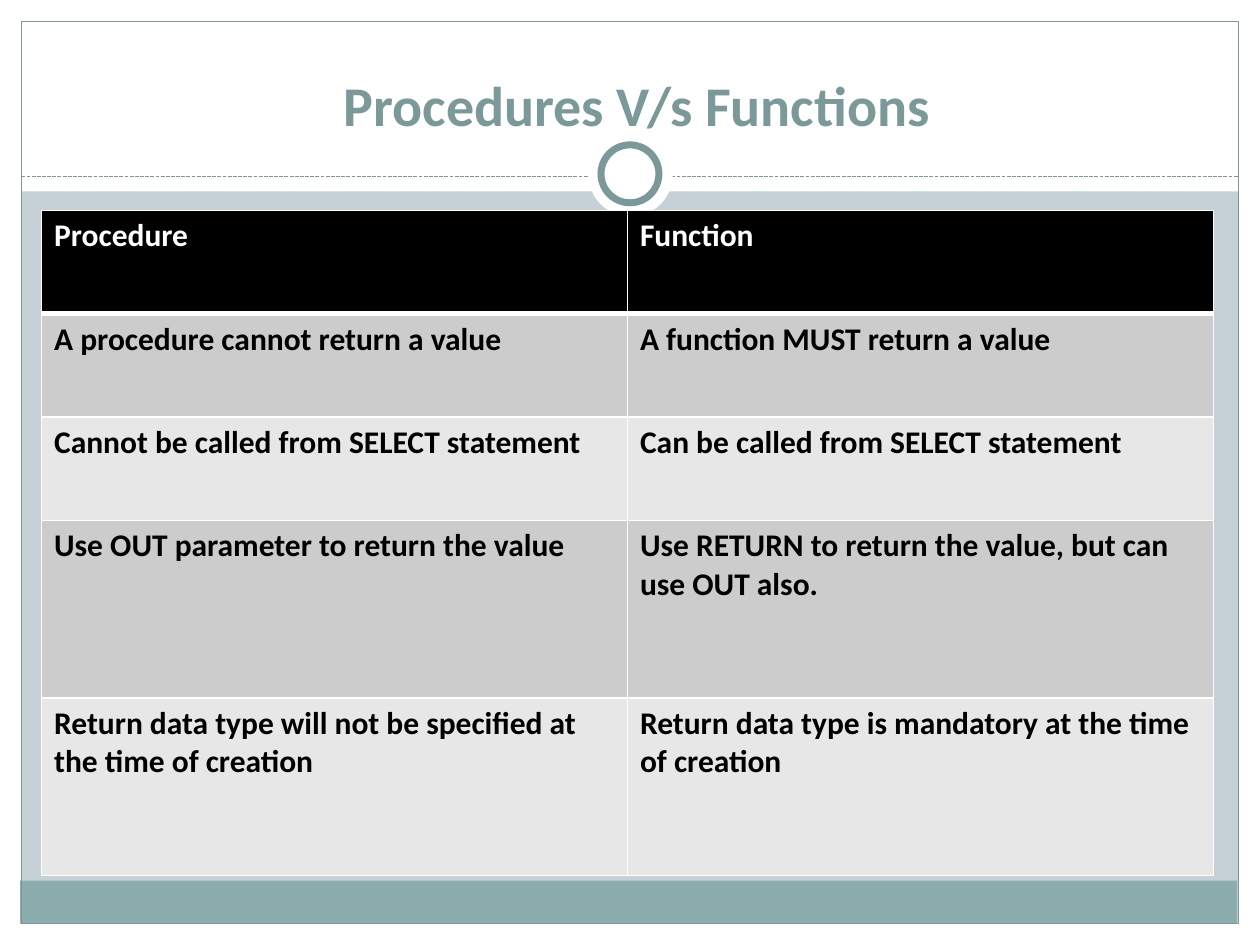
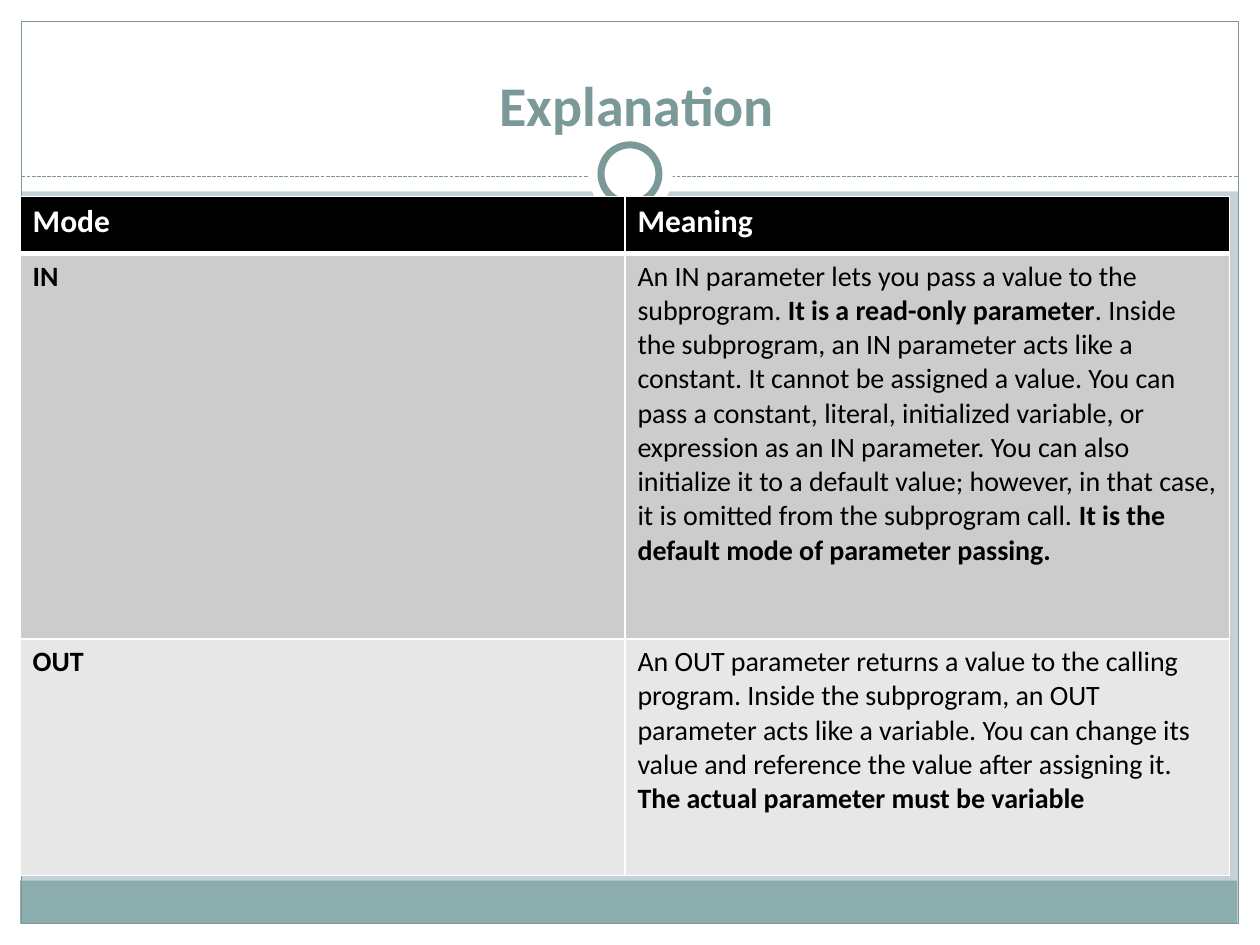
from dataclasses import dataclass

from lxml import etree
from pptx import Presentation
from pptx.dml.color import RGBColor
from pptx.enum import dml, shapes, text
from pptx.oxml import ns
from pptx.util import Inches, Pt

FONT = "Calibri"
WHITE = RGBColor(0xFF, 0xFF, 0xFF)
BLACK = RGBColor(0x00, 0x00, 0x00)
BACKDROP = RGBColor(0xC5, 0xD1, 0xD7)
FOOTER = RGBColor(0x8C, 0xAD, 0xAE)
ACCENT = RGBColor(0x7C, 0x99, 0x9A)
ROW_FILLS = (RGBColor(0xCC, 0xCC, 0xCC), RGBColor(0xE7, 0xE7, 0xE7))

THIN, THICK = 1, 3
RECT, OVAL = shapes.MSO_SHAPE.RECTANGLE, shapes.MSO_SHAPE.OVAL


@dataclass(frozen=True)
class FramePart:
    kind: shapes.MSO_SHAPE
    box: tuple[float, float, float, float]
    fill: RGBColor | None = WHITE
    line_width: float = 0


@dataclass(frozen=True)
class TableSlide:
    """Two-column table slide; the first row is the header, ** marks bold runs."""
    title: str
    left: float
    top: float
    col_width: float
    row_heights: tuple[float, ...]
    rows: tuple[tuple[str, str], ...]
    body_size: int


BANDS = (
    FramePart(RECT, (0, 7.33, 10, 0.17)),
    FramePart(RECT, (0, 0, 10, 1.52)),
    FramePart(RECT, (0, 0, 0.17, 7.5)),
    FramePart(RECT, (9.83, 0, 0.17, 7.5)),
    FramePart(RECT, (0.16, 6.99, 9.66, 0.34), FOOTER),
    FramePart(RECT, (0.17, 0.17, 9.66, 7.16), None, 0.75),
)
RINGS = (
    FramePart(OVAL, (4.67, 1.05, 0.67, 0.67)),
    FramePart(OVAL, (4.77, 1.15, 0.46, 0.46), WHITE, 4),
)

SLIDES = (
    TableSlide(
        "Procedures V/s Functions", 0.33, 1.67, 4.65, (0.82, 0.82, 0.82, 1.41, 1.41),
        (
            ("Procedure", "Function"),
            ("A procedure cannot return a value", "A function MUST return a value"),
            ("Cannot be called from SELECT statement",
             "Can be called from SELECT statement"),
            ("Use OUT parameter to return the value",
             "Use RETURN to return the value, but can use OUT also."),
            ("Return data type will not be specified at the time of creation",
             "Return data type is mandatory at the time of creation"),
        ),
        body_size=18,
    ),
    TableSlide(
        "Explanation", 0.16, 1.56, 4.8, (0.45, 3.06, 1.88),
        (
            ("Mode", "Meaning"),
            ("**IN**",
             "An IN parameter lets you pass a value to the subprogram. "
             "**It is a read-only parameter**. Inside the subprogram, an IN parameter "
             "acts like a constant. It cannot be assigned a value. You can pass a "
             "constant, literal, initialized variable, or expression as an IN parameter. "
             "You can also initialize it to a default value; however, in that case, it is "
             "omitted from the subprogram call. "
             "**It is the default mode of parameter passing.**"),
            ("**OUT**",
             "An OUT parameter returns a value to the calling program. Inside the "
             "subprogram, an OUT parameter acts like a variable. You can change its value "
             "and reference the value after assigning it. "
             "**The actual parameter must be variable**"),
        ),
        body_size=16,
    ),
)


def style_paragraph(p, size: int, color: RGBColor) -> None:
    p.font.name = FONT
    p.font.size = Pt(size)
    p.font.color.rgb = color


def add_part(slide, part: FramePart):
    sp = slide.shapes.add_shape(part.kind, *map(Inches, part.box))
    sp.shadow.inherit = False
    if part.fill is None:
        sp.fill.background()
    else:
        sp.fill.solid()
        sp.fill.fore_color.rgb = part.fill
    if part.line_width:
        sp.line.color.rgb = ACCENT
        sp.line.width = Pt(part.line_width)
    else:
        sp.line.fill.background()
    return sp


def add_divider(slide):
    line = slide.shapes.add_connector(
        shapes.MSO_CONNECTOR.STRAIGHT, Inches(0.17), Inches(1.4), Inches(9.83), Inches(1.4))
    line.line.color.rgb = ACCENT
    line.line.width = Pt(0.75)
    line.line.dash_style = dml.MSO_LINE.SQUARE_DOT
    etree.SubElement(line.element.spPr, ns.qn("a:effectLst"))
    return line


def move_frame_to_layout(slide, layout) -> None:
    """Draw the frame with the slide's shape tools, then hand it to the layout."""
    for ph in list(layout.placeholders):
        if ph.placeholder_format.type != shapes.PP_PLACEHOLDER.TITLE:
            ph.element.getparent().remove(ph.element)
    layout.background.fill.solid()
    layout.background.fill.fore_color.rgb = BACKDROP
    frame = [add_part(slide, part) for part in BANDS]
    frame.append(add_divider(slide))
    frame += [add_part(slide, part) for part in RINGS]
    for sp in frame:
        layout.shapes.element.append(sp.element)


def set_title(slide, title: str) -> None:
    sp = slide.shapes.title
    sp.left, sp.top, sp.width, sp.height = map(Inches, (0.39, 0.31, 9.33, 0.83))
    tf = sp.text_frame
    tf.text = title
    tf.vertical_anchor = text.MSO_ANCHOR.BOTTOM
    p = tf.paragraphs[0]
    p.alignment = text.PP_ALIGN.CENTER
    style_paragraph(p, 32, ACCENT)
    p.font.bold = True


def set_borders(cell, top: float, bottom: float) -> None:
    tc_pr = cell._tc.get_or_add_tcPr()
    for side, width in (("L", THIN), ("R", THIN), ("T", top), ("B", bottom)):
        ln = etree.SubElement(tc_pr, ns.qn(f"a:ln{side}"), w=str(Pt(width)))
        fill = etree.SubElement(ln, ns.qn("a:solidFill"))
        etree.SubElement(fill, ns.qn("a:srgbClr"), val=str(WHITE))


def fill_cell(cell, content: str, row: int, body_size: int) -> None:
    is_header = row == 0
    set_borders(cell, THICK if row == 1 else THIN, THICK if is_header else THIN)
    cell.fill.solid()
    cell.fill.fore_color.rgb = BLACK if is_header else ROW_FILLS[(row - 1) % 2]
    p = cell.text_frame.paragraphs[0]
    style_paragraph(p, 18 if is_header else body_size, WHITE if is_header else BLACK)
    pieces = content.split("**")
    if len(pieces) == 1:
        p.font.bold = True
        p.add_run().text = content
        return
    for i, piece in enumerate(pieces):
        if piece:
            r = p.add_run()
            r.text = piece
            r.font.bold = i % 2 == 1


def add_comparison(slide, data: TableSlide) -> None:
    table = slide.shapes.add_table(
        len(data.rows), 2, Inches(data.left), Inches(data.top),
        Inches(2 * data.col_width), Inches(sum(data.row_heights))).table
    table.first_row = table.horz_banding = False
    for column in table.columns:
        column.width = Inches(data.col_width)
    for row, (height, contents) in enumerate(zip(data.row_heights, data.rows)):
        table.rows[row].height = Inches(height)
        for col, content in enumerate(contents):
            fill_cell(table.cell(row, col), content, row, data.body_size)


def main() -> None:
    prs = Presentation()
    prs.slide_width, prs.slide_height = Inches(10), Inches(7.5)
    layout = prs.slide_layouts.get_by_name("Title Only")
    for i, data in enumerate(SLIDES):
        slide = prs.slides.add_slide(layout)
        if i == 0:
            move_frame_to_layout(slide, layout)
        set_title(slide, data.title)
        add_comparison(slide, data)
    prs.save("out.pptx")


if __name__ == "__main__":
    main()
